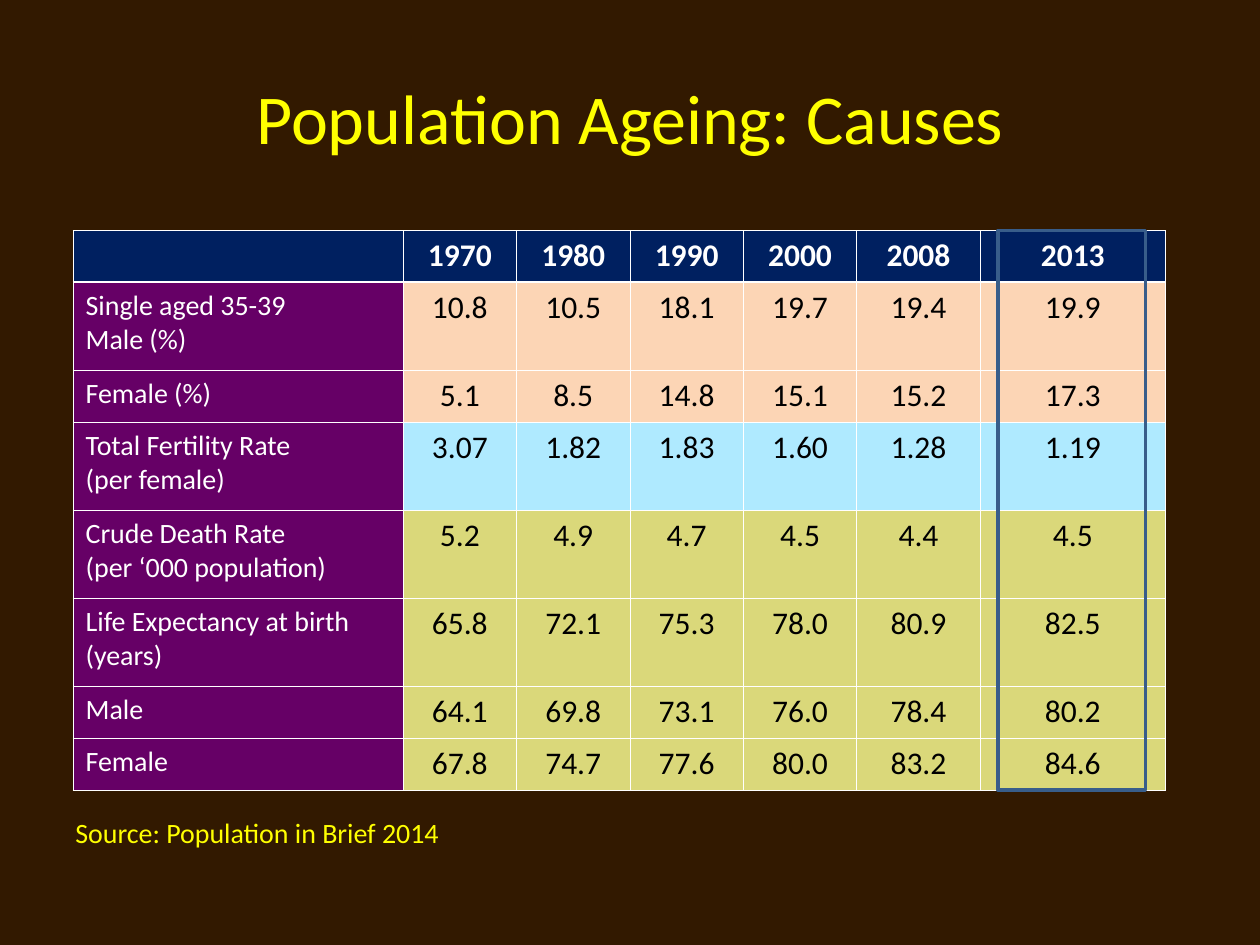
from dataclasses import dataclass

from lxml import etree
from pptx import Presentation
from pptx.dml.color import RGBColor
from pptx.enum.shapes import MSO_SHAPE
from pptx.enum.text import MSO_ANCHOR, PP_ALIGN
from pptx.oxml.ns import qn
from pptx.util import Inches, Pt

RECTANGLE = MSO_SHAPE.RECTANGLE
TOP, MIDDLE = MSO_ANCHOR.TOP, MSO_ANCHOR.MIDDLE
LEFT, CENTER = PP_ALIGN.LEFT, PP_ALIGN.CENTER


@dataclass(frozen=True)
class Theme:
    """Colours, type sizes and line widths of the slide."""
    font: str = "Calibri"
    background: str = "321900"
    accent: str = "FFFF00"
    light: str = "FFFFFF"
    dark: str = "000000"
    header: str = "002060"
    label: str = "660066"
    singles: str = "FCD5B5"
    fertility: str = "AFEAFF"
    mortality: str = "DAD87A"
    outline: str = "385D8A"
    title_size: float = 40
    value_size: float = 18
    label_size: float = 16
    thin: float = 0.45
    thick: float = 1.47
    frame: float = 2


THEME = Theme()
YEARS = ["1970", "1980", "1990", "2000", "2008", "2013"]
INDICATORS = [
    ("Single aged 35-39\nMale (%)", THEME.singles, ["10.8", "10.5", "18.1", "19.7", "19.4", "19.9"]),
    ("Female (%)", THEME.singles, ["5.1", "8.5", "14.8", "15.1", "15.2", "17.3"]),
    ("Total Fertility Rate\n(per female)", THEME.fertility, ["3.07", "1.82", "1.83", "1.60", "1.28", "1.19"]),
    ("Crude Death Rate\n(per ‘000 population)", THEME.mortality, ["5.2", "4.9", "4.7", "4.5", "4.4", "4.5"]),
    ("Life Expectancy at birth (years)", THEME.mortality, ["65.8", "72.1", "75.3", "78.0", "80.9", "82.5"]),
    ("Male", THEME.mortality, ["64.1", "69.8", "73.1", "76.0", "78.4", "80.2"]),
    ("Female", THEME.mortality, ["67.8", "74.7", "77.6", "80.0", "83.2", "84.6"]),
]
COLUMN_WIDTHS = [2.62] + [0.9] * 4 + [0.98, 1.47]
ROW_HEIGHTS = [0.41, 0.7, 0.41, 0.7, 0.7, 0.7, 0.41, 0.41]


class SlideBuilder:
    """Draws styled elements on the current slide."""

    def __init__(self, slide, theme):
        """Keep the slide and theme and paint the background."""
        self.slide = slide
        self.theme = theme
        self.paint(slide.background.fill, theme.background)

    def paint(self, fill, color):
        """Apply a solid colour to a fill."""
        fill.solid()
        fill.fore_color.rgb = RGBColor.from_string(color)

    def set_text(self, text_frame, text, size, color, alignment=LEFT, bold=False):
        """Set one styled paragraph per line of text."""
        text_frame.text = text
        formats = {"name": self.theme.font, "size": Pt(size), "bold": bold}
        for paragraph in text_frame.paragraphs:
            paragraph.alignment = alignment
            for name, value in formats.items():
                setattr(paragraph.font, name, value)
            paragraph.font.color.rgb = RGBColor.from_string(color)

    def text(self, bounds, text, size, alignment=LEFT, anchor=TOP):
        """Add a wrapping text box in the accent colour."""
        box = self.slide.shapes.add_textbox(*map(Inches, bounds))
        box.text_frame.word_wrap = True
        box.text_frame.vertical_anchor = anchor
        self.set_text(box.text_frame, text, size, self.theme.accent, alignment)

    def borders(self, cell, top, bottom):
        """Draw the four borders of a table cell."""
        properties = cell._tc.get_or_add_tcPr()
        widths = {"lnL": self.theme.thin, "lnR": self.theme.thin, "lnT": top, "lnB": bottom}
        for side, width in widths.items():
            line = etree.SubElement(properties, qn(f"a:{side}"), w=str(Pt(width)))
            fill = etree.SubElement(line, qn("a:solidFill"))
            etree.SubElement(fill, qn("a:srgbClr"), val=self.theme.light)

    def table(self, left, top, column_widths, row_heights, years, indicators):
        """Add the table of indicators by year."""
        theme = self.theme
        bounds = (left, top, sum(column_widths), sum(row_heights))
        table = self.slide.shapes.add_table(
            len(row_heights), len(column_widths), *map(Inches, bounds)).table
        for column, width in zip(table.columns, column_widths):
            column.width = Inches(width)
        for row, height in zip(table.rows, row_heights):
            row.height = Inches(height)
        for row_index, (label, color, values) in enumerate([("", theme.header, years), *indicators]):
            is_header = row_index == 0
            top_width = theme.thick if row_index == 1 else theme.thin
            bottom_width = theme.thick if is_header else theme.thin
            for column_index, text in enumerate([label, *values]):
                cell = table.cell(row_index, column_index)
                self.borders(cell, top_width, bottom_width)
                if is_header:
                    fill, style = theme.header, (theme.value_size, theme.light, CENTER, True)
                elif column_index == 0:
                    fill, style = theme.label, (theme.label_size, theme.light)
                else:
                    fill, style = color, (theme.value_size, theme.dark, CENTER)
                self.paint(cell.fill, fill)
                self.set_text(cell.text_frame, text, *style)

    def frame(self, bounds):
        """Add an unfilled rectangle that highlights an area."""
        shape = self.slide.shapes.add_shape(RECTANGLE, *map(Inches, bounds))
        shape.shadow.inherit = False
        shape.fill.background()
        shape.line.color.rgb = RGBColor.from_string(self.theme.outline)
        shape.line.width = Pt(self.theme.frame)


def main():
    """Build and save the slide."""
    presentation = Presentation()
    presentation.slide_width, presentation.slide_height = Inches(10), Inches(7.5)
    slide = presentation.slides.add_slide(presentation.slide_layouts[6])
    builder = SlideBuilder(slide, THEME)
    builder.text((0.5, 0.3, 9, 1.25), "Population Ageing: Causes", THEME.title_size, CENTER, MIDDLE)
    builder.table(0.58, 1.83, COLUMN_WIDTHS, ROW_HEIGHTS, YEARS, INDICATORS)
    builder.text((0.5, 6.42, 4.5, 0.37), "Source: Population in Brief 2014", THEME.label_size)
    builder.frame((7.92, 1.83, 1.17, 4.44))
    presentation.save("out.pptx")


if __name__ == "__main__":
    main()
